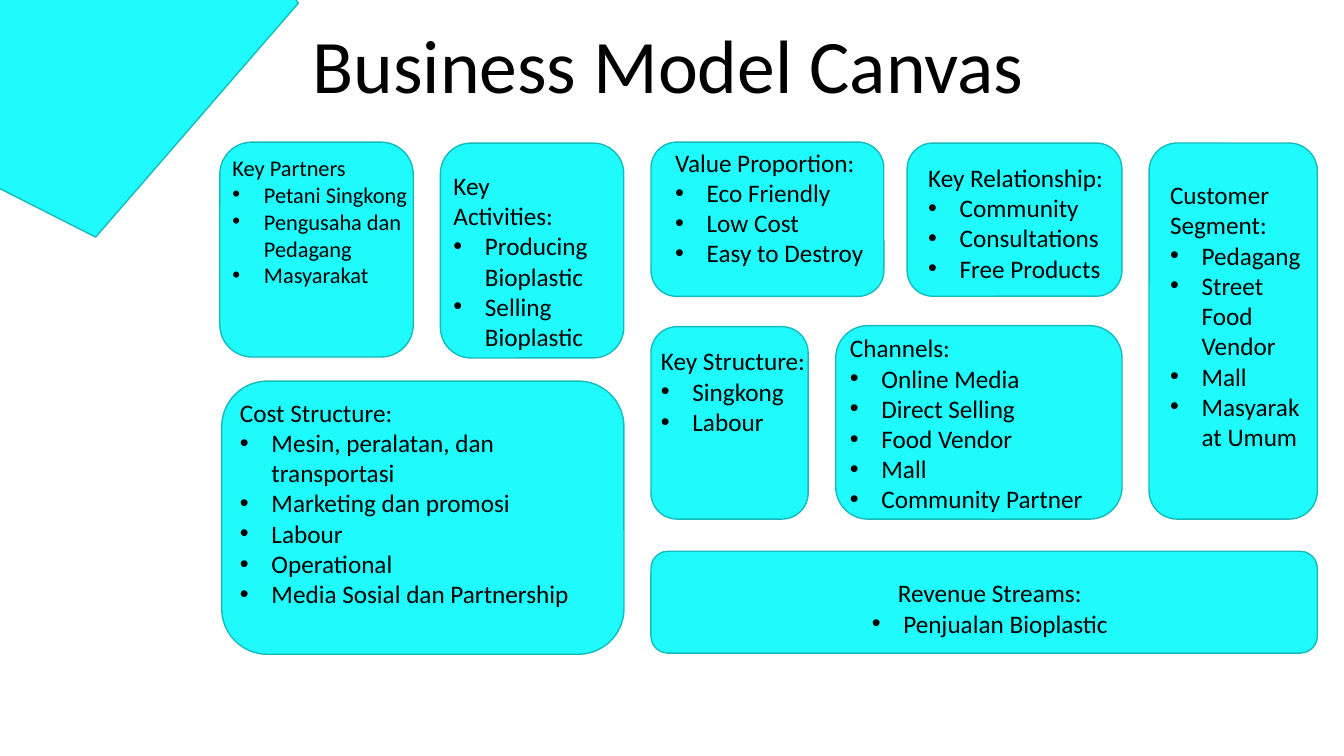
import dataclasses

import lxml.etree
import pptx
import pptx.dml.color
import pptx.enum.shapes
import pptx.enum.text
import pptx.oxml.ns
import pptx.util

COLOURS = {"panel": "1FFBFD", "outline": "17BABB", "text": "000000"}
FONT_NAME = "Calibri"
BULLET_INDENT = 22.5
Alignment = pptx.enum.text.PP_ALIGN
ShapeType = pptx.enum.shapes.MSO_SHAPE


@dataclasses.dataclass(frozen=True)
class Box:
    left: float
    top: float
    width: float
    height: float

    def lengths(self) -> list[pptx.util.Length]:
        return [pptx.util.Pt(value) for value in dataclasses.astuple(self)]


@dataclasses.dataclass(frozen=True)
class Card:
    heading: str
    items: tuple[str, ...]
    panel: Box
    text_area: Box
    font_size: float = 18
    alignment: Alignment = Alignment.LEFT
    in_body_placeholder: bool = False


CORNER = Box(-79.2, -58.3, 308.2, 174.2)
TITLE_AREA = Box(216, 9.4, 568.8, 72.7)

CARDS = (
    Card("Key Partners", ("Petani Singkong", "Pengusaha dan Pedagang", "Masyarakat"),
         Box(157, 101.5, 138.2, 153.5), Box(159, 106.5, 139.7, 104.5), font_size=16),
    Card("Key Activities:", ("Producing Bioplastic", "Selling Bioplastic"),
         Box(314.6, 102.2, 131, 153.5), Box(316.8, 118, 113.8, 122.4)),
    Card("Value Proportion:", ("Eco Friendly", "Low Cost", "Easy to Destroy"),
         Box(465, 101.5, 166.3, 110.2), Box(475.2, 101.5, 208.8, 110.2)),
    Card("Key Structure:", ("Singkong", "Labour"),
         Box(465, 233.3, 112.3, 137.5), Box(465, 243.4, 144.7, 72.7)),
    Card("Key Relationship:", ("Community", "Consultations", "Free Products"),
         Box(648, 102.2, 153.4, 109.4), Box(655.9, 112.3, 139.7, 94.3)),
    Card("Channels:",
         ("Online Media", "Direct Selling", "Food Vendor", "Mall", "Community Partner"),
         Box(597, 232.6, 204.5, 138.2), Box(600, 234, 185.8, 138.2)),
    Card("Customer Segment:", ("Pedagang", "Street Food Vendor", "Mall", "Masyarakat Umum"),
         Box(820.8, 102.2, 120.2, 268.6), Box(828.7, 124.6, 112.3, 203.8)),
    Card("Cost Structure:",
         ("Mesin, peralatan, dan transportasi", "Marketing dan promosi", "Labour",
          "Operational", "Media Sosial dan Partnership"),
         Box(158.4, 272.2, 287.3, 195.1), Box(164.2, 280, 265.7, 159.8),
         in_body_placeholder=True),
    Card("Revenue Streams:", ("Penjualan Bioplastic",),
         Box(465, 393.8, 476, 72.7), Box(490.3, 409, 433.4, 51.1),
         alignment=Alignment.CENTER),
)


def colour(name: str) -> pptx.dml.color.RGBColor:
    return pptx.dml.color.RGBColor.from_string(COLOURS[name])


def place(shape, box: Box) -> None:
    shape.left, shape.top, shape.width, shape.height = box.lengths()


def add_panel(slide, shape_type: ShapeType, box: Box, rotation: float = 0) -> None:
    shape = slide.shapes.add_shape(shape_type, *box.lengths())
    shape.rotation = rotation
    shape.shadow.inherit = False
    shape.fill.solid()
    shape.fill.fore_color.rgb = colour("panel")
    shape.line.color.rgb = colour("outline")
    shape.line.width = pptx.util.Pt(1)


def set_bullet(paragraph, bulleted: bool) -> None:
    properties = paragraph._p.get_or_add_pPr()
    indent = pptx.util.Pt(BULLET_INDENT) if bulleted else 0
    properties.set("marL", str(indent))
    properties.set("indent", str(-indent))
    if bulleted:
        typeface = lxml.etree.SubElement(properties, pptx.oxml.ns.qn("a:buFont"))
        typeface.set("typeface", "Arial")
        character = lxml.etree.SubElement(properties, pptx.oxml.ns.qn("a:buChar"))
        character.set("char", "•")
    else:
        lxml.etree.SubElement(properties, pptx.oxml.ns.qn("a:buNone"))


def add_text(paragraph, text: str, size: float, alignment: Alignment) -> None:
    paragraph.alignment = alignment
    paragraph.space_before = pptx.util.Pt(0)
    run = paragraph.add_run()
    run.text = text
    run.font.name = FONT_NAME
    run.font.size = pptx.util.Pt(size)
    run.font.color.rgb = colour("text")


def prepare_frame(frame) -> None:
    frame.word_wrap = True
    frame.auto_size = pptx.enum.text.MSO_AUTO_SIZE.NONE
    frame.vertical_anchor = pptx.enum.text.MSO_ANCHOR.TOP


def add_card(slide, card: Card) -> None:
    add_panel(slide, ShapeType.ROUNDED_RECTANGLE, card.panel)
    if card.in_body_placeholder:
        shape = slide.placeholders[1]
        place(shape, card.text_area)
        shape.element.getparent().append(shape.element)  # bring in front of its panel
    else:
        shape = slide.shapes.add_textbox(*card.text_area.lengths())
    frame = shape.text_frame
    prepare_frame(frame)
    for index, text in enumerate((card.heading, *card.items)):
        paragraph = frame.add_paragraph() if index else frame.paragraphs[0]
        set_bullet(paragraph, bulleted=index > 0)
        add_text(paragraph, text, card.font_size, card.alignment)


def main() -> None:
    presentation = pptx.Presentation()
    presentation.slide_width = pptx.util.Pt(960)
    presentation.slide_height = pptx.util.Pt(540)
    slide = presentation.slides.add_slide(
        presentation.slide_layouts.get_by_name("Title and Content"))

    title = slide.shapes.title
    place(title, TITLE_AREA)
    prepare_frame(title.text_frame)
    add_text(title.text_frame.paragraphs[0], "Business Model Canvas", 54, Alignment.LEFT)

    add_panel(slide, ShapeType.TRAPEZOID, CORNER, rotation=130.9)
    for card in CARDS:
        add_card(slide, card)
    presentation.save("out.pptx")


if __name__ == "__main__":
    main()
